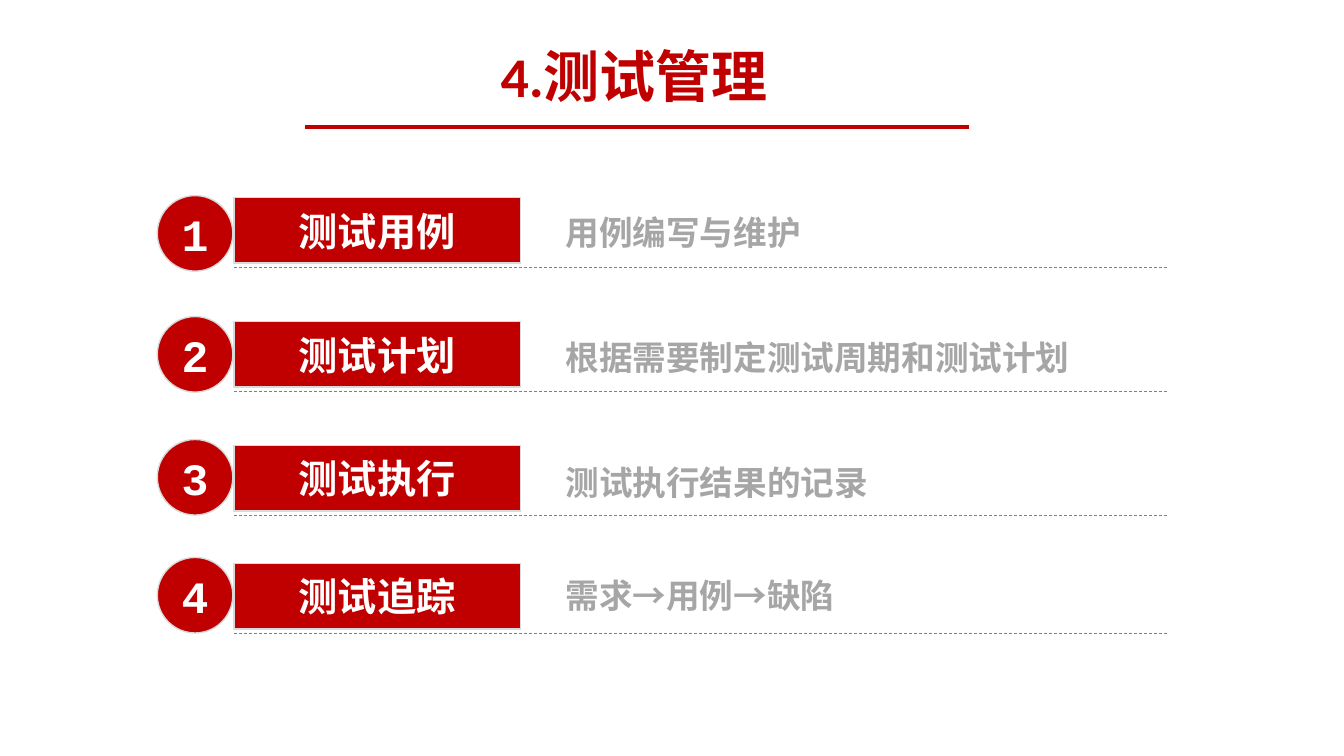
from lxml import etree
from pptx import Presentation
from pptx.dml.color import RGBColor
from pptx.enum.dml import MSO_LINE
from pptx.enum.shapes import MSO_CONNECTOR, MSO_SHAPE
from pptx.enum.text import MSO_ANCHOR, MSO_AUTO_SIZE, PP_ALIGN
from pptx.oxml.ns import qn
from pptx.util import Inches, Pt

RED = RGBColor(0xC0, 0x00, 0x00)
WHITE = RGBColor(0xFF, 0xFF, 0xFF)
EDGE_GRAY = RGBColor(0xD9, 0xD9, 0xD9)
RULE_GRAY = RGBColor(0x80, 0x80, 0x80)
TEXT_GRAY = RGBColor(0xA6, 0xA6, 0xA6)

# Heading, description, then tops of row, badge and description
ROWS = [
    ("测试用例", "用例编写与维护", 1.96, 1.94, 2.05),
    ("测试计划", "根据需要制定测试周期和测试计划", 3.19, 3.14, 3.29),
    ("测试执行", "测试执行结果的记录", 4.42, 4.36, 4.53),
    ("测试追踪", "需求→用例→缺陷", 5.59, 5.53, 5.65),
]


def write(tf, text, size, color, font="Calibri", align=PP_ALIGN.CENTER):
    tf.word_wrap = True
    tf.text = text
    p = tf.paragraphs[0]
    p.alignment = align
    p.font.name = font
    p.font.size = Pt(size)
    p.font.bold = True
    p.font.color.rgb = color


def add_rule(slide, x, y, width, color, weight, dash=None):
    line = slide.shapes.add_connector(
        MSO_CONNECTOR.STRAIGHT, Inches(x), Inches(y), Inches(x + width), Inches(y))
    line.line.color.rgb = color
    line.line.width = Pt(weight)
    if dash:
        line.line.dash_style = dash
    etree.SubElement(line._element.spPr, qn("a:effectLst"))


def add_red_shape(slide, kind, x, y, width, height, text, size, font="Calibri"):
    sp = slide.shapes.add_shape(
        kind, Inches(x), Inches(y), Inches(width), Inches(height))
    sp.shadow.inherit = False
    sp.fill.solid()
    sp.fill.fore_color.rgb = RED
    sp.line.color.rgb = EDGE_GRAY
    sp.line.width = Pt(1)
    sp.text_frame.vertical_anchor = MSO_ANCHOR.MIDDLE
    write(sp.text_frame, text, size, WHITE, font)


def add_title(slide, x, y, width, height):
    title = slide.shapes.title
    title.left, title.top = Inches(x), Inches(y)
    title.width, title.height = Inches(width), Inches(height)
    tf = title.text_frame
    tf.auto_size = MSO_AUTO_SIZE.NONE
    tf.vertical_anchor = MSO_ANCHOR.TOP
    write(tf, "4.测试管理", 40, RED)
    add_rule(slide, x + 0.99, y + 0.9, 6.58, RED, 3)


def add_row(slide, x, number, row):
    heading, description, top, badge_top, text_top = row
    bar_x = x + 0.76
    add_red_shape(slide, MSO_SHAPE.RECTANGLE, bar_x, top, 2.84, 0.65, heading, 28)
    add_rule(slide, bar_x, top + 0.69, 9.25, RULE_GRAY, 0.5, MSO_LINE.DASH)
    add_red_shape(slide, MSO_SHAPE.OVAL, x, badge_top, 0.75, 0.75,
                  str(number), 32, "Courier New")
    box = slide.shapes.add_textbox(
        Inches(x + 3.95), Inches(text_top), Inches(5.81), Inches(0.61))
    write(box.text_frame, description, 24, TEXT_GRAY, align=PP_ALIGN.LEFT)


def main():
    prs = Presentation()
    prs.slide_width, prs.slide_height = Inches(13.33), Inches(7.5)
    slide = prs.slides.add_slide(prs.slide_layouts[5])
    add_title(slide, 2.04, 0.36, 8.5, 0.92)
    for number, row in enumerate(ROWS, start=1):
        add_row(slide, 1.56, number, row)
    prs.save("out.pptx")


if __name__ == "__main__":
    main()
